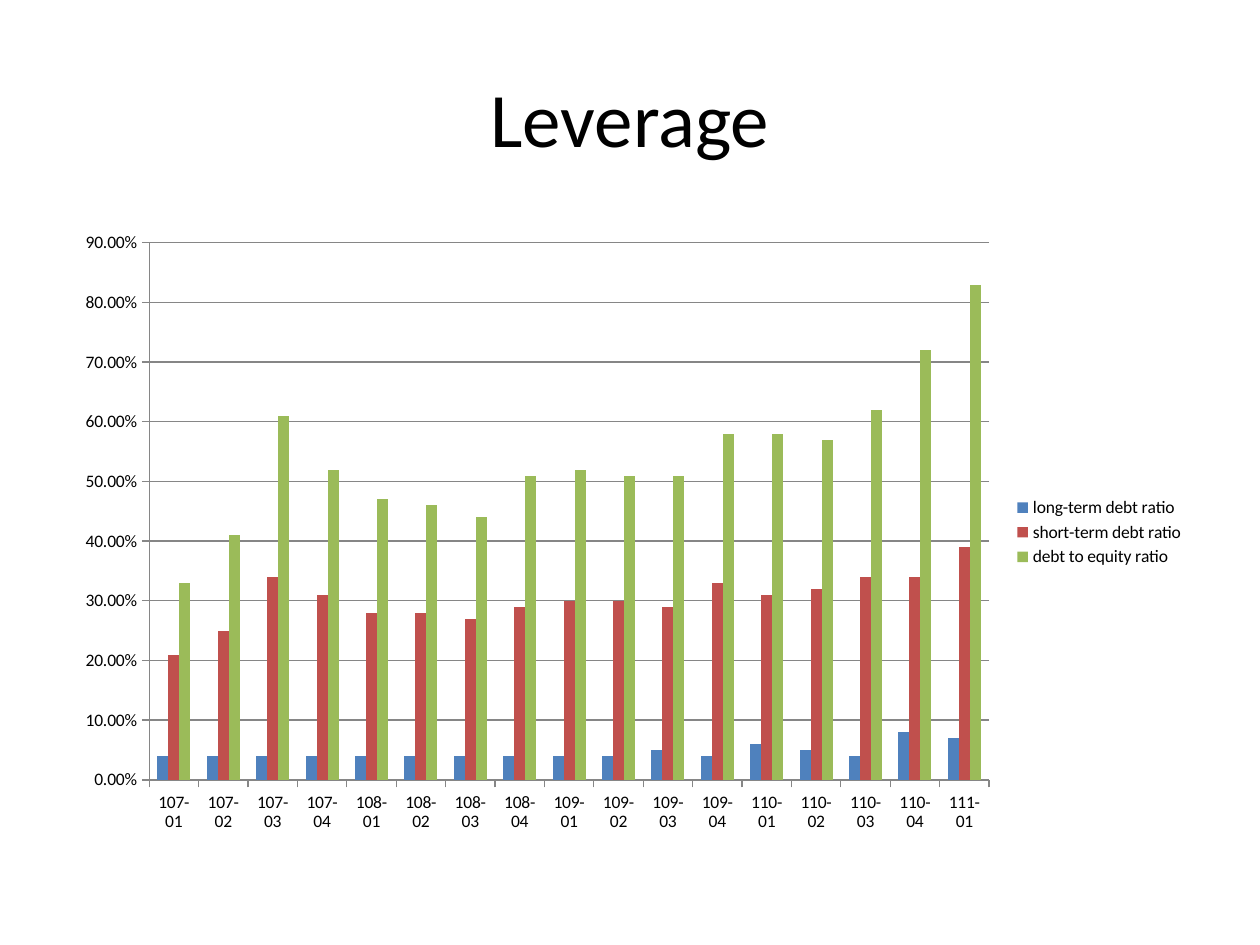
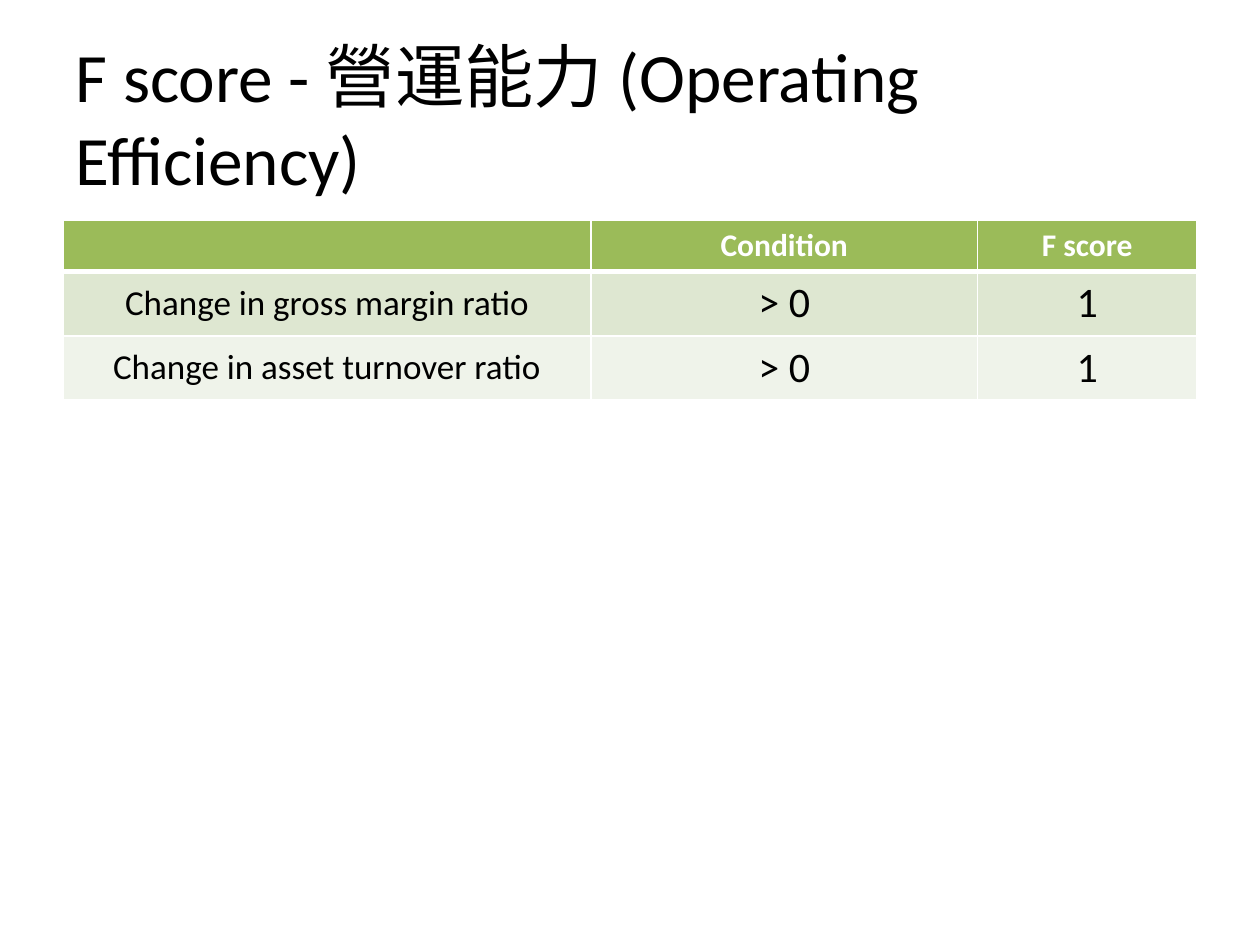
"""Build a leverage chart slide and an operating efficiency score slide."""
from dataclasses import dataclass

from lxml import etree
from pptx import Presentation
from pptx.chart.data import CategoryChartData
from pptx.dml.color import RGBColor
from pptx.enum.chart import XL_CHART_TYPE, XL_LEGEND_POSITION, XL_TICK_MARK
from pptx.enum.text import MSO_ANCHOR, MSO_AUTO_SIZE, PP_ALIGN
from pptx.oxml.ns import qn
from pptx.util import Inches, Pt

COLUMN_CLUSTERED = XL_CHART_TYPE.COLUMN_CLUSTERED
LEGEND_RIGHT = XL_LEGEND_POSITION.RIGHT
TICK_OUTSIDE = XL_TICK_MARK.OUTSIDE
LEFT, CENTER = PP_ALIGN.LEFT, PP_ALIGN.CENTER
TOP, MIDDLE = MSO_ANCHOR.TOP, MSO_ANCHOR.MIDDLE
NO_AUTOFIT = MSO_AUTO_SIZE.NONE


@dataclass(frozen=True)
class Theme:
    font: str = "Calibri"
    black: str = "000000"
    white: str = "FFFFFF"
    blue: str = "4F81BD"
    red: str = "C0504D"
    green: str = "9BBB59"
    green_band: str = "DEE7D1"
    green_pale: str = "EFF3EA"
    grid: str = "868686"
    title_size: float = 44
    long_title_size: float = 39.6
    chart_size: float = 10
    header_size: float = 18
    label_size: float = 20
    value_size: float = 24


theme = Theme()


def write_text(frame, text, size, color=theme.black, bold=False, align=CENTER):
    paragraph = frame.paragraphs[0]
    paragraph.alignment = align
    run = paragraph.add_run()
    run.text = text
    run.font.name = theme.font
    run.font.size = Pt(size)
    run.font.bold = bold
    run.font.color.rgb = RGBColor.from_string(color)


def add_border(cell, side, width):
    properties = cell._tc.get_or_add_tcPr()
    line = etree.SubElement(properties, qn(f"a:{side}"), w=str(Pt(width)))
    fill = etree.SubElement(line, qn("a:solidFill"))
    etree.SubElement(fill, qn("a:srgbClr"), val=theme.white)


presentation = Presentation()
presentation.slide_width = Inches(10)
presentation.slide_height = Inches(7.5)
title_only = presentation.slide_layouts[5]

titles = [
    ("Leverage", 9, theme.title_size, CENTER),
    ("F score - 營運能力 (Operating Efficiency)", 9.22, theme.long_title_size, LEFT),
]
slides = []
for text, width, size, align in titles:
    slide = presentation.slides.add_slide(title_only)
    title = slide.shapes.title
    title.left, title.top = Inches(0.5), Inches(0.3)
    title.width, title.height = Inches(width), Inches(1.25)
    title.text_frame.auto_size = NO_AUTOFIT
    title.text_frame.word_wrap = True
    title.text_frame.vertical_anchor = MIDDLE
    write_text(title.text_frame, text, size, align=align)
    slides.append(slide)
leverage_slide, score_slide = slides

quarters = [f"{year}-{quarter:02d}" for year in range(107, 111) for quarter in range(1, 5)]
quarters.append("111-01")
ratios = [
    ("long-term debt ratio", theme.blue,
     [0.04, 0.04, 0.04, 0.04, 0.04, 0.04, 0.04, 0.04, 0.04,
      0.04, 0.05, 0.04, 0.06, 0.05, 0.04, 0.08, 0.07]),
    ("short-term debt ratio", theme.red,
     [0.21, 0.25, 0.34, 0.31, 0.28, 0.28, 0.27, 0.29, 0.30,
      0.30, 0.29, 0.33, 0.31, 0.32, 0.34, 0.34, 0.39]),
    ("debt to equity ratio", theme.green,
     [0.33, 0.41, 0.61, 0.52, 0.47, 0.46, 0.44, 0.51, 0.52,
      0.51, 0.51, 0.58, 0.58, 0.57, 0.62, 0.72, 0.83]),
]
chart_data = CategoryChartData(number_format="0.00%")
chart_data.categories = quarters
for name, color, values in ratios:
    chart_data.add_series(name, values)
chart = leverage_slide.shapes.add_chart(
    COLUMN_CLUSTERED, Inches(0.5), Inches(1.75), Inches(9), Inches(4.95), chart_data
).chart
chart.has_title = False
chart.font.name = theme.font
chart.font.size = Pt(theme.chart_size)
chart.font.color.rgb = RGBColor.from_string(theme.black)
chart.has_legend = True
chart.legend.position = LEGEND_RIGHT
chart.legend.include_in_layout = False

plot = chart.plots[0]
plot.vary_by_categories = False
plot.gap_width = 150
for series, (name, color, values) in zip(plot.series, ratios):
    series.format.fill.solid()
    series.format.fill.fore_color.rgb = RGBColor.from_string(color)

value_axis = chart.value_axis
value_axis.minimum_scale, value_axis.maximum_scale = 0, 0.9
value_axis.major_unit = 0.1
value_axis.has_major_gridlines = True
value_axis.tick_labels.number_format = "0.00%"
value_axis.tick_labels.number_format_is_linked = False
for axis in (chart.category_axis, value_axis):
    axis.major_tick_mark = TICK_OUTSIDE
for lined in (chart.category_axis, value_axis, value_axis.major_gridlines):
    lined.format.line.color.rgb = RGBColor.from_string(theme.grid)
    lined.format.line.width = Pt(0.75)

score_rows = [
    ("", "Condition", "F score"),
    ("Change in gross margin ratio", "> 0", "1"),
    ("Change in asset turnover ratio", "> 0", "1"),
]
row_heights = [0.39, 0.51, 0.51]
row_fills = [theme.green, theme.green_band, theme.green_pale]
column_widths = [4.19, 3.07, 1.74]
table = score_slide.shapes.add_table(
    len(score_rows), len(column_widths),
    Inches(0.5), Inches(1.75), Inches(9), Inches(sum(row_heights)),
).table
for column, width in zip(table.columns, column_widths):
    column.width = Inches(width)
for row, height in zip(table.rows, row_heights):
    row.height = Inches(height)

for row_index, texts in enumerate(score_rows):
    is_header = row_index == 0
    for column_index, text in enumerate(texts):
        cell = table.cell(row_index, column_index)
        cell.vertical_anchor = TOP if is_header else MIDDLE
        for side in ("lnL", "lnR", "lnT", "lnB"):
            meets_header_rule = (row_index, side) in ((0, "lnB"), (1, "lnT"))
            add_border(cell, side, 3 if meets_header_rule else 1)
        cell.fill.solid()
        cell.fill.fore_color.rgb = RGBColor.from_string(row_fills[row_index])
        if is_header and text:
            write_text(cell.text_frame, text, theme.header_size, color=theme.white, bold=True)
        elif text:
            size = theme.label_size if column_index == 0 else theme.value_size
            write_text(cell.text_frame, text, size)

presentation.save("out.pptx")
